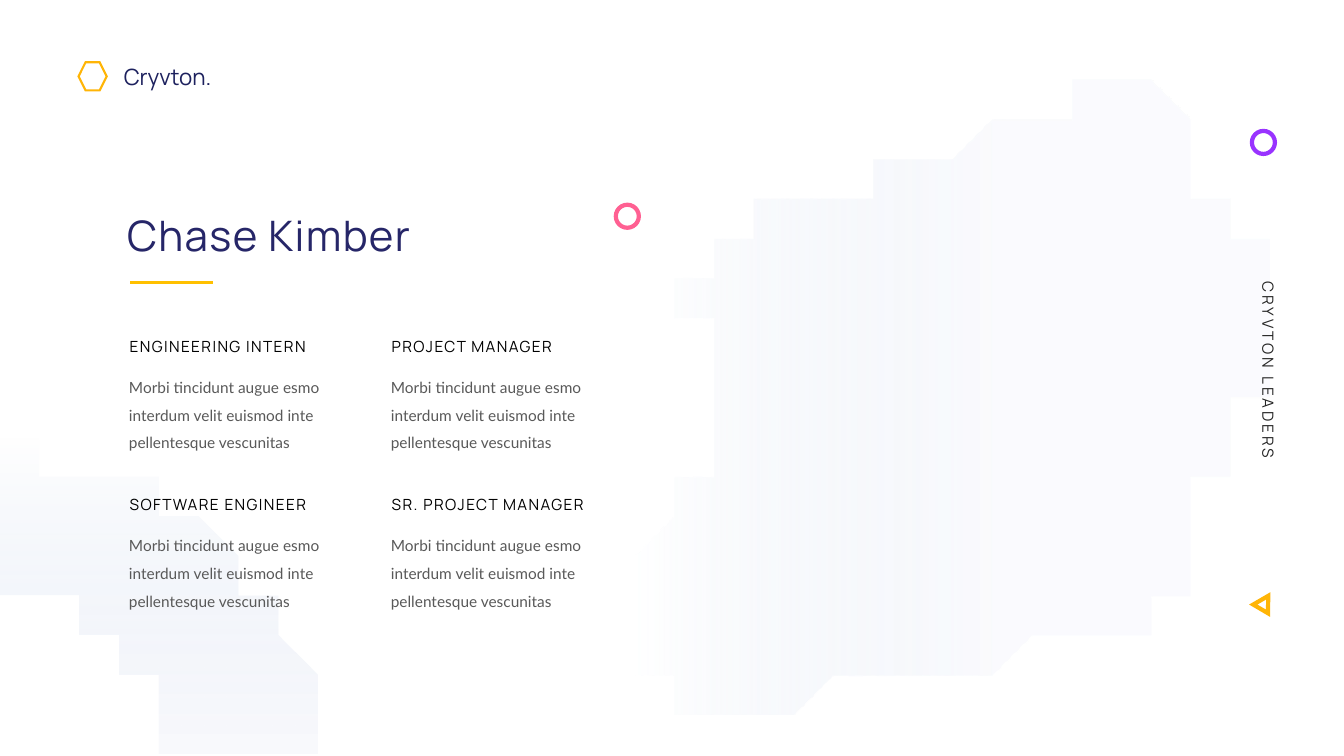
from dataclasses import dataclass
from math import cos, radians, sin

from pptx import Presentation
from pptx.dml.color import RGBColor
from pptx.enum.shapes import MSO_CONNECTOR as Connector, MSO_SHAPE as Preset
from pptx.enum.text import MSO_ANCHOR as Anchor, MSO_AUTO_SIZE as AutoSize, PP_ALIGN as Align
from pptx.oxml.ns import qn
from pptx.util import Cm, Pt


@dataclass(frozen=True)
class Theme:
    display: str = "Manrope"
    text: str = "Lato"
    title_size: float = 30
    brand_size: float = 16
    small_size: float = 11
    title: str = "262668"
    brand: str = "1D215E"
    heading: str = "000000"
    body: str = "595959"
    side: str = "262626"
    amber: str = "FFB506"
    rule: str = "FFC000"
    pink: str = "FF6092"
    violet: str = "9933FF"
    pale: str = "F9FAFD"
    mist: str = "DAE3F3"


class SlideBuilder:
    def __init__(self, slide, theme):
        self.slide = slide
        self.shapes = slide.shapes
        self.theme = theme

    def fill_text(self, shape, text, font, size, color, tracking=0, line_spacing=None, align=Align.LEFT):
        frame = shape.text_frame
        frame.word_wrap = True
        frame.auto_size = AutoSize.SHAPE_TO_FIT_TEXT
        frame.vertical_anchor = Anchor.TOP
        paragraph = frame.paragraphs[0]
        paragraph.alignment = align
        if line_spacing:
            paragraph.line_spacing = line_spacing
        run = paragraph.add_run()
        run.text = text
        run.font.name = font
        run.font.size = Pt(size)
        run.font.color.rgb = RGBColor.from_string(color)
        if tracking:
            run._r.get_or_add_rPr().set("spc", str(tracking * 100))

    def title(self, box, text):
        shape = self.shapes.title
        shape.left, shape.top, shape.width, shape.height = map(Cm, box)
        self.fill_text(shape, text, self.theme.display, self.theme.title_size, self.theme.title, tracking=1)

    def text(self, box, text, font, size, color, vertical=False, **style):
        shape = self.shapes.add_textbox(*map(Cm, box))
        if vertical:
            shape.text_frame._txBody.find(qn("a:bodyPr")).set("vert", "vert")
        self.fill_text(shape, text, font, size, color, **style)

    def outline(self, preset, box, color, weight=3, rotation=0):
        shape = self.shapes.add_shape(preset, *map(Cm, box))
        shape.shadow.inherit = False
        shape.rotation = rotation
        shape.fill.background()
        shape.line.color.rgb = RGBColor.from_string(color)
        shape.line.width = Pt(weight)
        line = shape._element.spPr.find(qn("a:ln"))
        line.append(line.makeelement(qn("a:miter"), {"lim": "800000"}))

    def backdrop(self, points, angle, start, start_alpha):
        """Filled outline that fades from pale to fully clear."""
        builder = self.shapes.build_freeform(*points[0], scale=Cm(1))
        builder.add_line_segments(points[1:], close=True)
        shape = builder.convert_to_shape()
        shape.shadow.inherit = False
        shape.line.fill.background()
        shape.fill.gradient()
        shape.fill.gradient_angle = angle
        stops = shape.fill.gradient_stops
        for stop, position, color in zip(stops, (start, 1), (self.theme.pale, self.theme.mist)):
            stop.position = position
            stop.color.rgb = RGBColor.from_string(color)
        colors = shape._element.spPr.iter(qn("a:srgbClr"))
        for element, alpha in zip(colors, (start_alpha, 0)):
            element.append(element.makeelement(qn("a:alpha"), {"val": str(alpha * 1000)}))

    def rule(self, left, top, right, color, weight):
        line = self.shapes.add_connector(Connector.STRAIGHT, Cm(left), Cm(top), Cm(right), Cm(top))
        line.line.color.rgb = RGBColor.from_string(color)
        line.line.width = Pt(weight)
        properties = line._element.spPr
        properties.append(properties.makeelement(qn("a:effectLst"), {}))


def curve_points(start, curves, steps=12):
    """Points along a chain of cubic curves, each given as x1, y1, x2, y2, x, y."""
    points = [start]
    for x1, y1, x2, y2, x3, y3 in curves:
        x0, y0 = points[-1]
        for step in range(1, steps + 1):
            t = step / steps
            weights = (1 - t) ** 3, 3 * t * (1 - t) ** 2, 3 * t * t * (1 - t), t ** 3
            points.append((sum(w * x for w, x in zip(weights, (x0, x1, x2, x3))),
                           sum(w * y for w, y in zip(weights, (y0, y1, y2, y3)))))
    return points


def arc_points(center_x, center_y, radius, steps=45):
    angles = [radians(90 * step / steps) for step in range(steps + 1)]
    return [(center_x + radius * cos(a), center_y - radius * sin(a)) for a in angles]


BLOB_START = (27.31, 2.31)
BLOB_CURVES = [
    (27.64, 2.21, 27.97, 2.16, 28.32, 2.11),
    (28.63, 2.08, 28.93, 2.08, 29.18, 2.24),
    (29.67, 2.46, 29.87, 3.05, 29.95, 3.58),
    (30.02, 4.11, 30.05, 4.67, 30.35, 5.11),
    (30.56, 5.44, 30.91, 5.64, 31.19, 5.89),
    (31.83, 6.5, 32.11, 7.44, 31.98, 8.33),
    (31.93, 8.89, 31.72, 9.42, 31.5, 9.93),
    (31.06, 10.85, 30.53, 11.73, 30.33, 12.73),
    (30.23, 13.21, 30.18, 13.69, 30.07, 14.17),
    (29.95, 14.66, 29.72, 15.14, 29.31, 15.44),
    (29.03, 15.65, 28.68, 15.72, 28.32, 15.82),
    (25.37, 16.54, 22.43, 17.2, 19.46, 17.75),
    (19.1, 17.83, 18.75, 17.91, 18.36, 17.88),
    (17.75, 17.86, 17.17, 17.6, 16.74, 17.2),
    (15.72, 16.21, 15.75, 14.48, 16.51, 13.28),
    (16.97, 12.55, 17.65, 11.94, 17.83, 11.1),
    (17.93, 10.62, 17.86, 10.11, 17.78, 9.63),
    (17.66, 8.89, 17.54, 8.16, 17.42, 7.42),
    (17.4, 7.21, 17.37, 7.04, 17.42, 6.86),
    (17.48, 6.6, 17.65, 6.4, 17.86, 6.22),
    (18.72, 5.49, 19.81, 5.23, 20.85, 4.88),
    (22.05, 4.5, 23.22, 4.06, 24.36, 3.56),
    (25.32, 3.1, 26.29, 2.59, 27.31, 2.31),
]
ROLES = [["ENGINEERING INTERN", "PROJECT MANAGER"], ["SOFTWARE ENGINEER", "SR. PROJECT MANAGER"]]
ROLE_TEXT = "Morbi tincidunt augue esmo interdum velit euismod inte pellentesque vescunitas"
COLUMN_STEP, ROW_STEP = 6.6, 3.99


def main():
    presentation = Presentation()
    presentation.slide_width, presentation.slide_height = Cm(33.87), Cm(19.05)
    theme = Theme()
    builder = SlideBuilder(presentation.slides.add_slide(presentation.slide_layouts[5]), theme)

    # Backdrop: blob on the right, quarter ring in the lower left corner
    builder.backdrop(curve_points(BLOB_START, BLOB_CURVES), angle=180, start=0.41, start_alpha=72)
    outer, inner = (arc_points(0.33, 19.05, radius) for radius in (7.6, 3.81))
    ring = outer + [(0, 11.45), (0, 15.24)] + inner[::-1]
    builder.backdrop(ring, angle=90, start=0, start_alpha=100)

    # Small ornaments
    builder.outline(Preset.OVAL, (15.52, 5.16, 0.58, 0.58), theme.pink)
    builder.outline(Preset.OVAL, (31.55, 3.3, 0.58, 0.58), theme.violet)
    builder.outline(Preset.ISOSCELES_TRIANGLE, (31.65, 14.99, 0.43, 0.38), theme.amber, rotation=30.4)

    # Brand mark and name
    builder.outline(Preset.HEXAGON, (1.98, 1.57, 0.71, 0.71), theme.amber, weight=1.5)
    builder.text((2.87, 1.47, 3.28, 0.94), "Cryvton.", theme.display, theme.brand_size, theme.brand)

    # Title with its rule
    builder.title((2.95, 5.16, 9.02, 1.55), "Chase Kimber")
    builder.rule(3.28, 7.11, 5.38, theme.rule, 2.25)

    # Grid of roles
    for row, headings in enumerate(ROLES):
        for column, heading in enumerate(headings):
            x, y = column * COLUMN_STEP, row * ROW_STEP
            builder.text((3.02 + x, 8.36 + y, 5.61, 0.74), heading,
                         theme.display, theme.small_size, theme.heading, tracking=1)
            builder.text((3 + x, 9.17 + y, 5.66, 2.29), ROLE_TEXT,
                         theme.text, theme.small_size, theme.body, line_spacing=1.5)

    # Vertical label
    builder.text((31.34, 6.76, 0.99, 5.13), "CRYVTON LEADERS", theme.display, theme.small_size,
                 theme.side, vertical=True, tracking=2, align=Align.CENTER)

    presentation.save("out.pptx")


if __name__ == "__main__":
    main()
